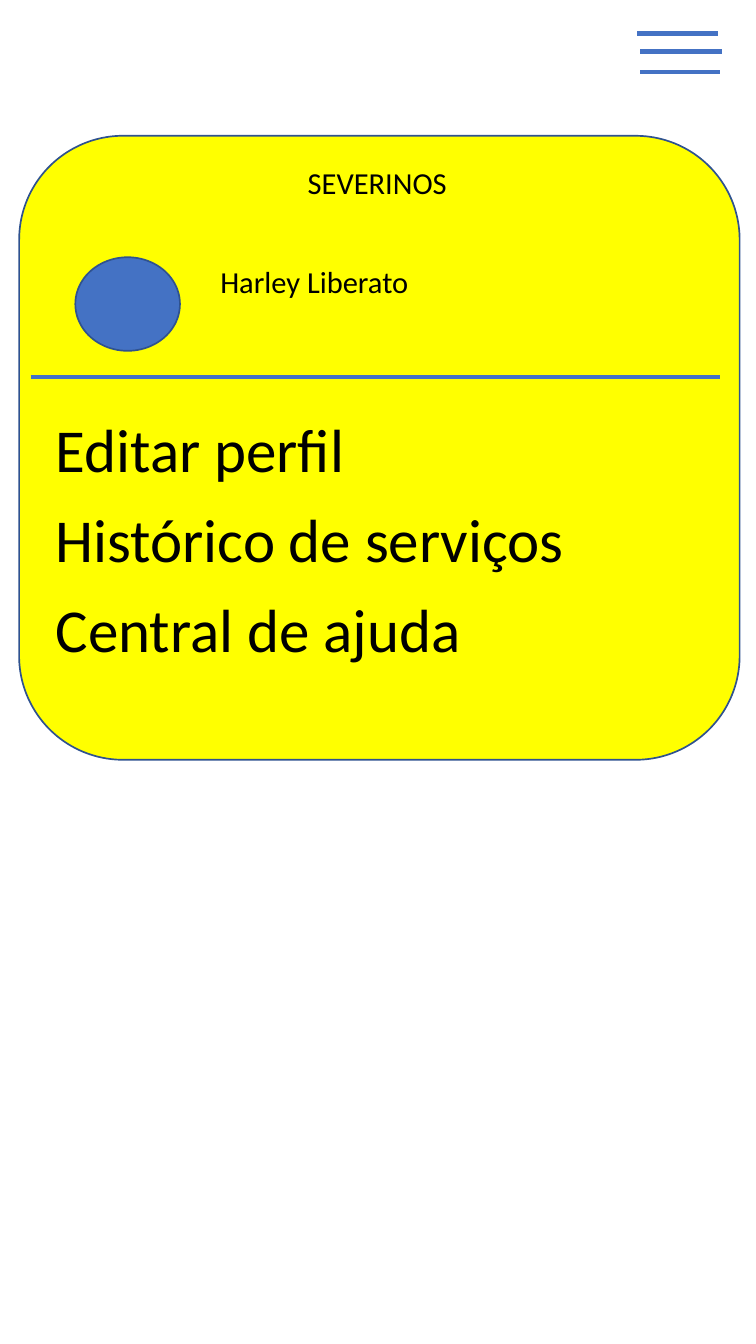
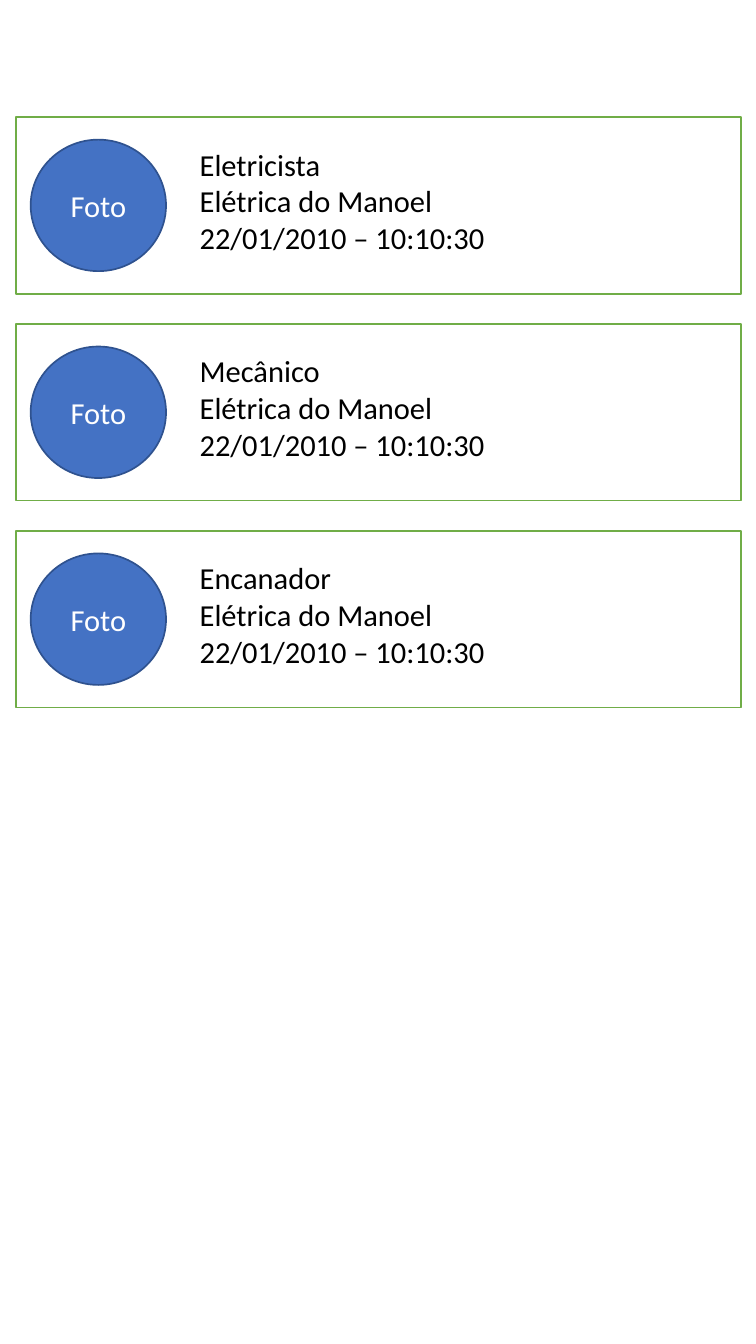
from dataclasses import dataclass

from lxml.etree import SubElement
from pptx import Presentation
from pptx.dml.color import RGBColor
from pptx.enum.shapes import MSO_CONNECTOR as Line, MSO_SHAPE as Shape
from pptx.enum.text import MSO_ANCHOR as Anchor, PP_ALIGN as Align
from pptx.oxml.ns import qn
from pptx.util import Cm, Pt


@dataclass(frozen=True)
class Theme:
    font: str = "Calibri"
    body: int = 18
    menu: int = 36
    black: str = "000000"
    white: str = "FFFFFF"
    yellow: str = "FFFF00"
    blue: str = "4472C4"
    navy: str = "2F528F"
    green: str = "70AD47"
    outline: float = 1
    rule: float = 2.25
    thick_rule: float = 3


THEME = Theme()
SLIDE_SIZE = (15.75, 28)

APP_NAME = "SEVERINOS"
USER_NAME = "Harley Liberato"
MENU = ["Editar perfil", "Histórico de serviços", "Central de ajuda"]
MENU_TOP, MENU_STEP = 8.46, 1.87
MENU_ICON = [
    (13.28, 14.96, 0.69, THEME.thick_rule),
    (13.34, 15.04, 1.07, THEME.thick_rule),
    (13.34, 15.01, 1.5, THEME.rule),
]

PHOTO = "Foto"
SERVICES = [
    ("Eletricista", "Elétrica do Manoel", "22/01/2010 – 10:10:30"),
    ("Mecânico", "Elétrica do Manoel", "22/01/2010 – 10:10:30"),
    ("Encanador", "Elétrica do Manoel", "22/01/2010 – 10:10:30"),
]
SERVICE_TOP, SERVICE_STEP, SERVICE_PADDING = 2.44, 4.31, 0.47


def lengths(box):
    return [Cm(value) for value in box]


def write(shape, lines, size, color, align=Align.LEFT):
    frame = shape.text_frame
    frame.word_wrap = True
    frame.text = "\n".join(lines)
    for paragraph in frame.paragraphs:
        paragraph.alignment = align
        for run in paragraph.runs:
            run.font.name = THEME.font
            run.font.size = Pt(size)
            run.font.color.rgb = RGBColor.from_string(color)


def add_text(slide, box, lines, size=THEME.body, align=Align.LEFT):
    write(slide.shapes.add_textbox(*lengths(box)), lines, size, THEME.black, align)


def add_figure(slide, kind, box, fill, outline):
    figure = slide.shapes.add_shape(kind, *lengths(box))
    figure.shadow.inherit = False
    figure.fill.solid()
    figure.fill.fore_color.rgb = RGBColor.from_string(fill)
    figure.line.color.rgb = RGBColor.from_string(outline)
    figure.line.width = Pt(THEME.outline)
    return figure


def add_avatar(slide, box):
    return add_figure(slide, Shape.OVAL, box, THEME.blue, THEME.navy)


def add_rule(slide, start, end, y, width):
    rule = slide.shapes.add_connector(Line.STRAIGHT, *lengths((start, y, end, y)))
    rule.line.color.rgb = RGBColor.from_string(THEME.blue)
    rule.line.width = Pt(width)
    SubElement(rule.element.spPr, qn("a:effectLst"))


def build_menu(slide):
    for bar in MENU_ICON:
        add_rule(slide, *bar)
    add_figure(slide, Shape.ROUNDED_RECTANGLE, (0.4, 2.83, 15.01, 13),
               THEME.yellow, THEME.navy)
    add_text(slide, (2.87, 3.3, 9.98, 1.02), [APP_NAME], align=Align.CENTER)
    add_avatar(slide, (1.57, 5.36, 2.18, 1.95))
    add_text(slide, (4.34, 5.36, 8.99, 1.02), [USER_NAME])
    add_rule(slide, 0.64, 15.01, 7.85, THEME.rule)
    for index, entry in enumerate(MENU):
        top = MENU_TOP + index * MENU_STEP
        add_text(slide, (0.91, top, 11.96, 1.8), [entry], THEME.menu)


def build_history(slide):
    for index, service in enumerate(SERVICES):
        top = SERVICE_TOP + index * SERVICE_STEP
        inner_top = top + SERVICE_PADDING
        add_figure(slide, Shape.RECTANGLE, (0.33, top, 15.11, 3.68),
                   THEME.white, THEME.green)
        avatar = add_avatar(slide, (0.64, inner_top, 2.82, 2.74))
        avatar.text_frame.vertical_anchor = Anchor.MIDDLE
        write(avatar, [PHOTO], THEME.body, THEME.white, Align.CENTER)
        add_text(slide, (3.91, inner_top, 11.23, 3.33), service)


def main():
    deck = Presentation()
    deck.slide_width, deck.slide_height = lengths(SLIDE_SIZE)
    for build in (build_menu, build_history):
        build(deck.slides.add_slide(deck.slide_layouts[6]))
    deck.save("out.pptx")


if __name__ == "__main__":
    main()
